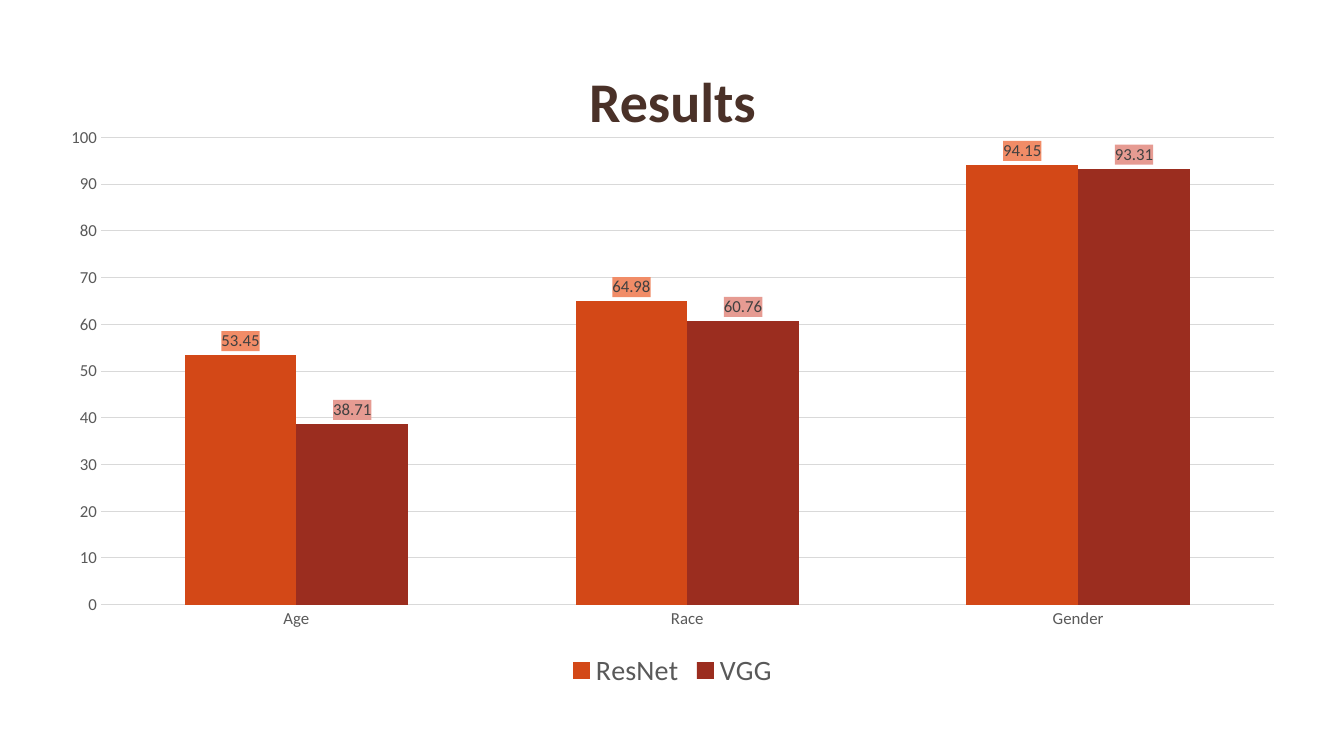
from lxml.etree import SubElement
from pptx import Presentation
from pptx.chart.data import CategoryChartData
from pptx.dml.color import RGBColor
from pptx.enum.chart import XL_CHART_TYPE, XL_LABEL_POSITION, XL_LEGEND_POSITION, XL_TICK_MARK
from pptx.enum.text import MSO_ANCHOR, PP_ALIGN
from pptx.oxml.ns import qn
from pptx.util import Inches, Pt

COLORS = {
    "title": "4A3128", "text": "595959", "label": "404040", "grid": "D9D9D9",
    "ResNet": "D34817", "VGG": "9B2D1F",
    "ResNet label": "F18C67", "VGG label": "E69B92",
}
FONT = "Calibri"
CATEGORIES = ["Age", "Race", "Gender"]
ACCURACY = {"ResNet": [53.45, 64.98, 94.15], "VGG": [38.71, 60.76, 93.31]}


def color(name):
    return RGBColor.from_string(COLORS[name])


def style_font(font, size, color_name, bold=False):
    font.name = FONT
    font.size = Pt(size)
    font.bold = bold
    font.color.rgb = color(color_name)


def add_title(slide, text, left, top, width, height):
    title = slide.shapes.title
    title.left, title.top, title.width, title.height = left, top, width, height
    title.text_frame.word_wrap = True
    title.text_frame.vertical_anchor = MSO_ANCHOR.MIDDLE
    paragraph = title.text_frame.paragraphs[0]
    paragraph.alignment = PP_ALIGN.CENTER
    paragraph.line_spacing = Pt(40)
    run = paragraph.add_run()
    run.text = text
    style_font(run.font, 40, "title", bold=True)


def fill_labels(labels, color_name):
    """Put a solid background behind a series' data labels."""
    properties = SubElement(labels._element, qn("c:spPr"))
    fill = SubElement(properties, qn("a:solidFill"))
    SubElement(fill, qn("a:srgbClr"), val=COLORS[color_name])
    labels._element.find(qn("c:txPr")).addprevious(properties)


def style_series(series):
    series.format.fill.solid()
    series.format.fill.fore_color.rgb = color(series.name)
    labels = series.data_labels
    labels.show_value = True
    labels.position = XL_LABEL_POSITION.OUTSIDE_END
    style_font(labels.font, 12, "label")
    fill_labels(labels, f"{series.name} label")


def style_axis(axis):
    axis.major_tick_mark = axis.minor_tick_mark = XL_TICK_MARK.NONE
    axis.format.line.fill.background()
    style_font(axis.tick_labels.font, 12, "text")


def add_results_chart(slide, left, top, width, height):
    data = CategoryChartData()
    data.categories = CATEGORIES
    for name, values in ACCURACY.items():
        data.add_series(name, values)
    chart = slide.shapes.add_chart(
        XL_CHART_TYPE.COLUMN_CLUSTERED, left, top, width, height, data).chart
    chart.has_title = False
    chart.font.name = FONT
    chart.font.size = Pt(10)

    chart.has_legend = True
    chart.legend.position = XL_LEGEND_POSITION.BOTTOM
    chart.legend.include_in_layout = False
    style_font(chart.legend.font, 20, "text")

    style_axis(chart.category_axis)
    style_axis(chart.value_axis)
    chart.value_axis.minimum_scale = 0
    chart.value_axis.maximum_scale = 100
    chart.value_axis.major_unit = 10
    gridline = chart.value_axis.major_gridlines.format.line
    gridline.color.rgb = color("grid")
    gridline.width = Pt(0.75)

    plot = chart.plots[0]
    plot.vary_by_categories = False
    plot.gap_width = 150
    plot.overlap = 0
    for series in plot.series:
        style_series(series)


def main():
    presentation = Presentation()
    presentation.slide_width = Inches(13.33)
    presentation.slide_height = Inches(7.5)
    slide = presentation.slides.add_slide(presentation.slide_layouts[5])
    add_title(slide, "Results", Inches(1.15), Inches(0.42), Inches(11.04), Inches(1.26))
    add_results_chart(slide, Inches(0.46), Inches(1.15), Inches(12.42), Inches(5.73))
    presentation.save("out.pptx")


if __name__ == "__main__":
    main()
